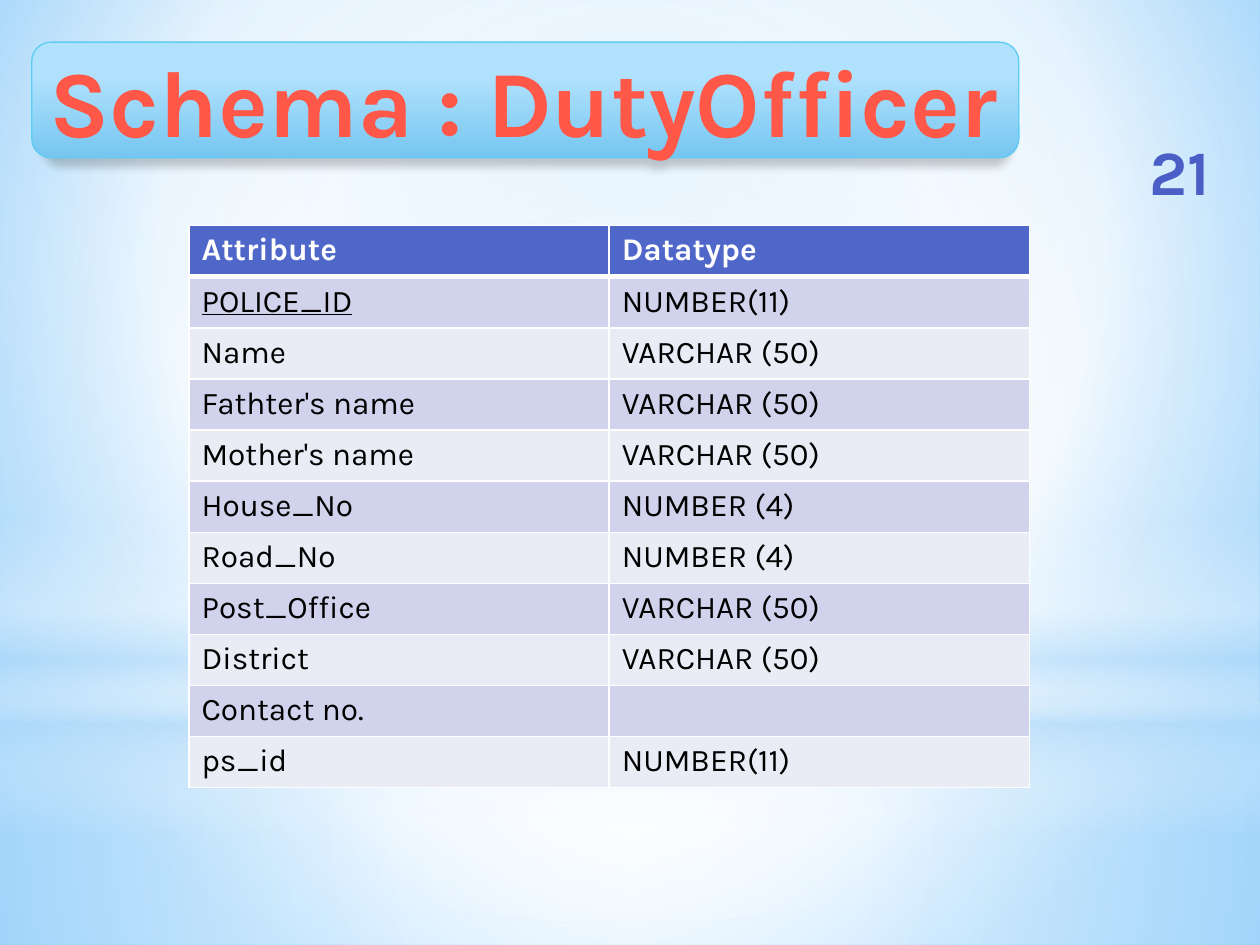
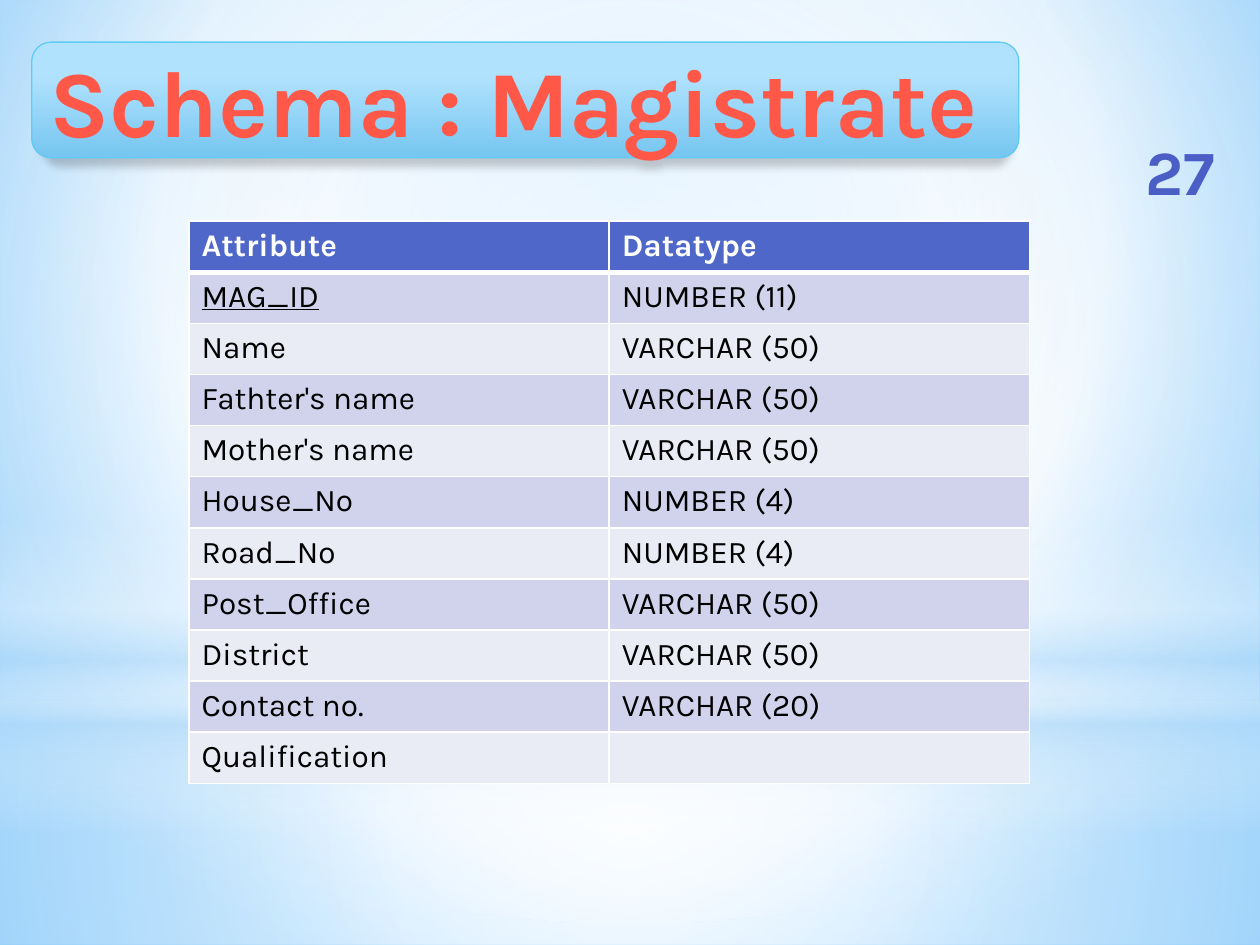
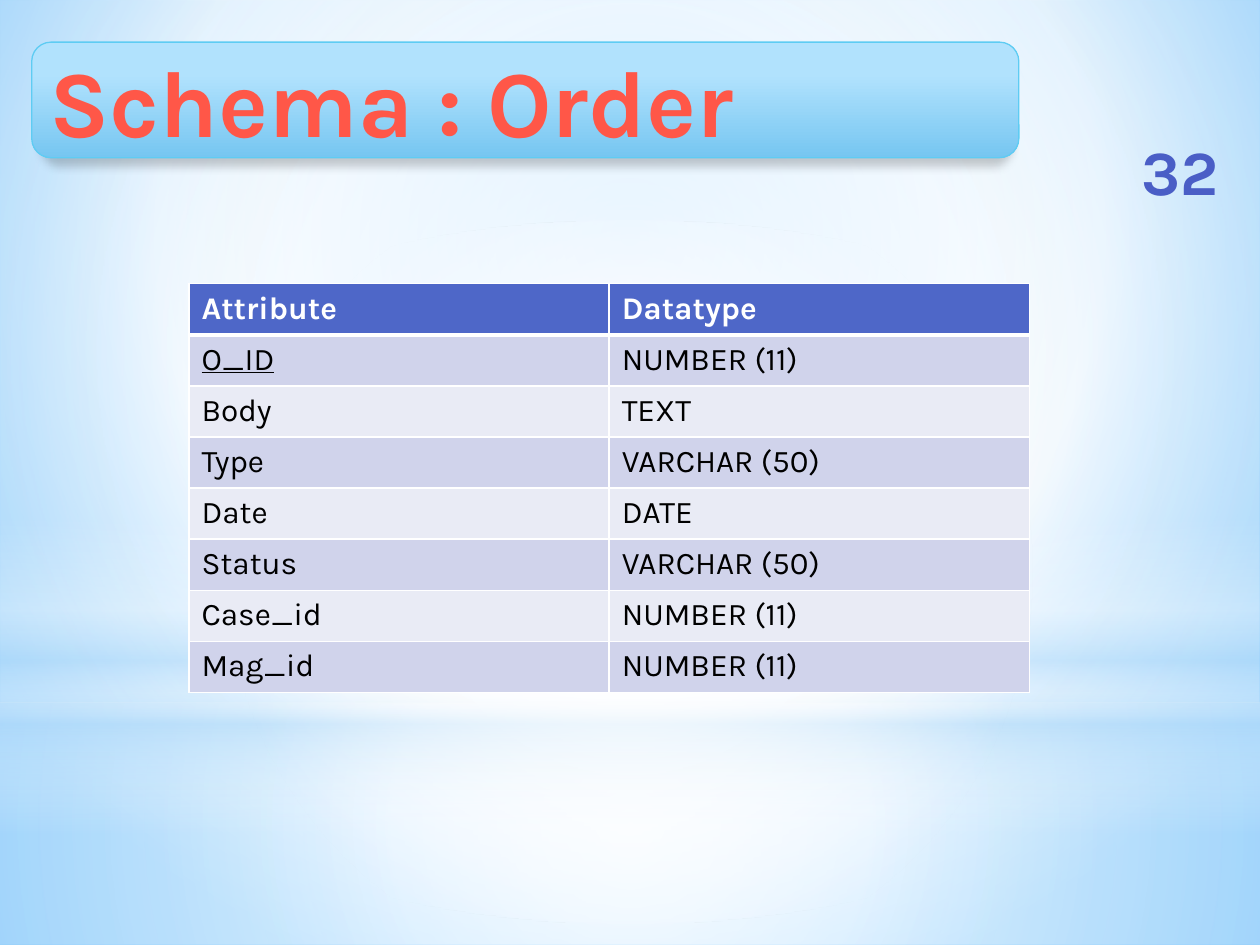
from pptx import Presentation
from pptx import util as u
from pptx.dml.color import RGBColor
from pptx.enum import shapes, text
from pptx.oxml import parse_xml
from pptx.oxml.ns import nsdecls, qn

C = {
    "white": "FFFFFF", "black": "000000", "haze": "B4DCFA",
    "sky": "9ED5FF", "deep": "5BB9FF",
    "title": "FF5748", "number": "4A5EC6",
    "bar_top": "B1E2FD", "bar_end": "76C6F1", "bar_line": "5ECCF3",
    "head": "4E67C8", "band": "D0D3EB", "plain": "E9EBF5",
}
FONT = "Karla"
CENTRE = (50, 50, 50, 50)

# Backdrop layers: shape, box in cm, stops (position, colour, opacity), focus
LAYERS = [
    ("RECTANGLE", (0, 14.17, 25.4, 4.88),
     [(0, "white", 91), (37, "white", 76), (100, "haze", 79)], CENTRE),
    ("RECTANGLE", (0, 0, 25.4, 14.17),
     [(0, "white", 89), (48, "white", 62), (100, "haze", 79)], CENTRE),
    ("RECTANGLE", (0, 10.46, 25.4, 6.35),
     [(0, "white", 0), (29, "white", 30), (45, "haze", 40),
      (55, "white", 26), (65, "haze", 60), (100, "white", 0)], None),
    ("OVAL", (0, 4.45, 25.4, 14.17),
     [(0, "white", 100), (56, "white", 0)], CENTRE),
]


def rgb(name):
    return RGBColor.from_string(C[name])


def gradient(stops, focus=None):
    """Radial fill around focus, or a top-down one without it."""
    gs = "".join(
        f'<a:gs pos="{pos * 1000}"><a:srgbClr val="{C[name]}">'
        f'<a:alpha val="{alpha * 1000}"/></a:srgbClr></a:gs>'
        for pos, name, alpha in stops)
    if focus:
        sides = " ".join(f'{k}="{v * 1000}"' for k, v in zip("ltrb", focus))
        way = f'<a:path path="circle"><a:fillToRect {sides}/></a:path>'
    else:
        way = '<a:lin ang="5400000" scaled="0"/>'
    return parse_xml(f'<a:gradFill {nsdecls("a")} rotWithShape="1">'
                     f'<a:gsLst>{gs}</a:gsLst>{way}</a:gradFill>')


def swap(parent, tag, new):
    parent.replace(parent.find(qn(tag)), new)


class Deck:
    def __init__(self):
        self.prs = Presentation()
        self.prs.slide_width, self.prs.slide_height = u.Cm(25.4), u.Cm(19.05)
        self.s = None

    def slide(self):
        self.s = self.prs.slides.add_slide(self.prs.slide_layouts[6])
        self.s.background.fill.solid()
        swap(self.s._element.cSld.bg.bgPr, "a:solidFill", gradient(
            [(0, "sky", 100), (60, "white", 100), (100, "deep", 100)],
            (20, 10, 20, 60)))
        for kind, box, stops, focus in LAYERS:
            self.shape(kind, box, stops, focus)

    def shape(self, kind, box, stops, focus=None):
        sp = self.s.shapes.add_shape(
            getattr(shapes.MSO_SHAPE, kind), *map(u.Cm, box))
        sp.fill.solid()
        swap(sp._element.spPr, "a:solidFill", gradient(stops, focus))
        sp.line.fill.background()
        sp.shadow.inherit = False
        return sp

    def label(self, tf, words, size, color, align="LEFT", **fmt):
        p = tf.paragraphs[0]
        p.alignment = getattr(text.PP_ALIGN, align)
        r = p.add_run()
        r.text = words
        for name, value in {"name": FONT, "size": u.Pt(size), **fmt}.items():
            setattr(r.font, name, value)
        r.font.color.rgb = rgb(color)

    def title(self, words):
        sp = self.shape("ROUNDED_RECTANGLE", (0.64, 0.85, 19.9, 2.33),
                        [(28, "bar_top", 100), (100, "bar_end", 100)])
        sp.line.color.rgb = rgb("bar_line")
        sp.line.width = u.Pt(0.75)
        swap(sp._element.spPr, "a:effectLst", parse_xml(
            f'<a:effectLst {nsdecls("a")}><a:outerShdw blurRad="{u.Pt(5)}" '
            f'dist="{u.Pt(4)}" dir="5400000" sx="98000" algn="b" '
            f'rotWithShape="0"><a:srgbClr val="{C["black"]}">'
            '<a:alpha val="20000"/></a:srgbClr></a:outerShdw></a:effectLst>'))
        tf = sp.text_frame
        tf.word_wrap = True
        tf.margin_right = 0
        tf.vertical_anchor = text.MSO_ANCHOR.MIDDLE
        self.label(tf, words, 54, "title", bold=True)

    def number(self, n):
        sp = self.s.shapes.add_textbox(*map(u.Cm, (22.54, 2.75, 2.5, 1.37)))
        tf = sp.text_frame
        tf.word_wrap = True
        tf.vertical_anchor = text.MSO_ANCHOR.MIDDLE
        self.label(tf, str(n), 36, "number", "CENTER", bold=True)

    def borders(self, cell, widths):
        tcPr = cell._tc.get_or_add_tcPr()
        for i, (side, width) in enumerate(zip("LRTB", widths)):
            tcPr.insert(i, parse_xml(
                f'<a:ln{side} {nsdecls("a")} w="{u.Pt(width)}"><a:solidFill>'
                f'<a:srgbClr val="{C["white"]}"/></a:solidFill></a:ln{side}>'))

    def table(self, top, fields):
        rows = [("Attribute", "Datatype"), *fields]
        row_h = 1.03
        tbl = self.s.shapes.add_table(
            len(rows), 2, u.Cm(3.81), u.Cm(top),
            u.Cm(16.94), u.Cm(row_h * len(rows))).table
        for i, row in enumerate(rows):
            tbl.rows[i].height = u.Cm(row_h)
            head = i == 0
            fill = "head" if head else "band" if i % 2 else "plain"
            for j, words in enumerate(row):
                cell = tbl.cell(i, j)
                cell.fill.solid()
                cell.fill.fore_color.rgb = rgb(fill)
                # A thick rule parts the header from the first row
                self.borders(cell, (1, 1, 3 if i == 1 else 1, 3 if head else 1))
                if words:
                    self.label(cell.text_frame, words, 18,
                               "white" if head else "black", bold=head,
                               underline=(i, j) == (1, 0))


# Fields that every person's schema has
PERSON = [
    ("Name", "VARCHAR (50)"),
    ("Fathter's name", "VARCHAR (50)"),
    ("Mother's name", "VARCHAR (50)"),
    ("House_No", "NUMBER (4)"),
    ("Road_No", "NUMBER (4)"),
    ("Post_Office", "VARCHAR (50)"),
    ("District", "VARCHAR (50)"),
]

# Slides: entity, page number, table top in cm, fields (the key first)
SCHEMAS = [
    ("DutyOfficer", 21, 4.55,
     [("POLICE_ID", "NUMBER(11)"), *PERSON,
      ("Contact no.", ""), ("ps_id", "NUMBER(11)")]),
    ("Magistrate", 27, 4.46,
     [("MAG_ID", "NUMBER (11)"), *PERSON,
      ("Contact no.", "VARCHAR (20)"), ("Qualification", "")]),
    ("Order", 32, 5.72,
     [("O_ID", "NUMBER (11)"), ("Body", "TEXT"), ("Type", "VARCHAR (50)"),
      ("Date", "DATE"), ("Status", "VARCHAR (50)"),
      ("Case_id", "NUMBER (11)"), ("Mag_id", "NUMBER (11)")]),
]


def main():
    deck = Deck()
    for entity, page, top, fields in SCHEMAS:
        deck.slide()
        deck.table(top, fields)
        deck.title(f"Schema : {entity}")
        deck.number(page)
    deck.prs.save("out.pptx")


if __name__ == "__main__":
    main()
